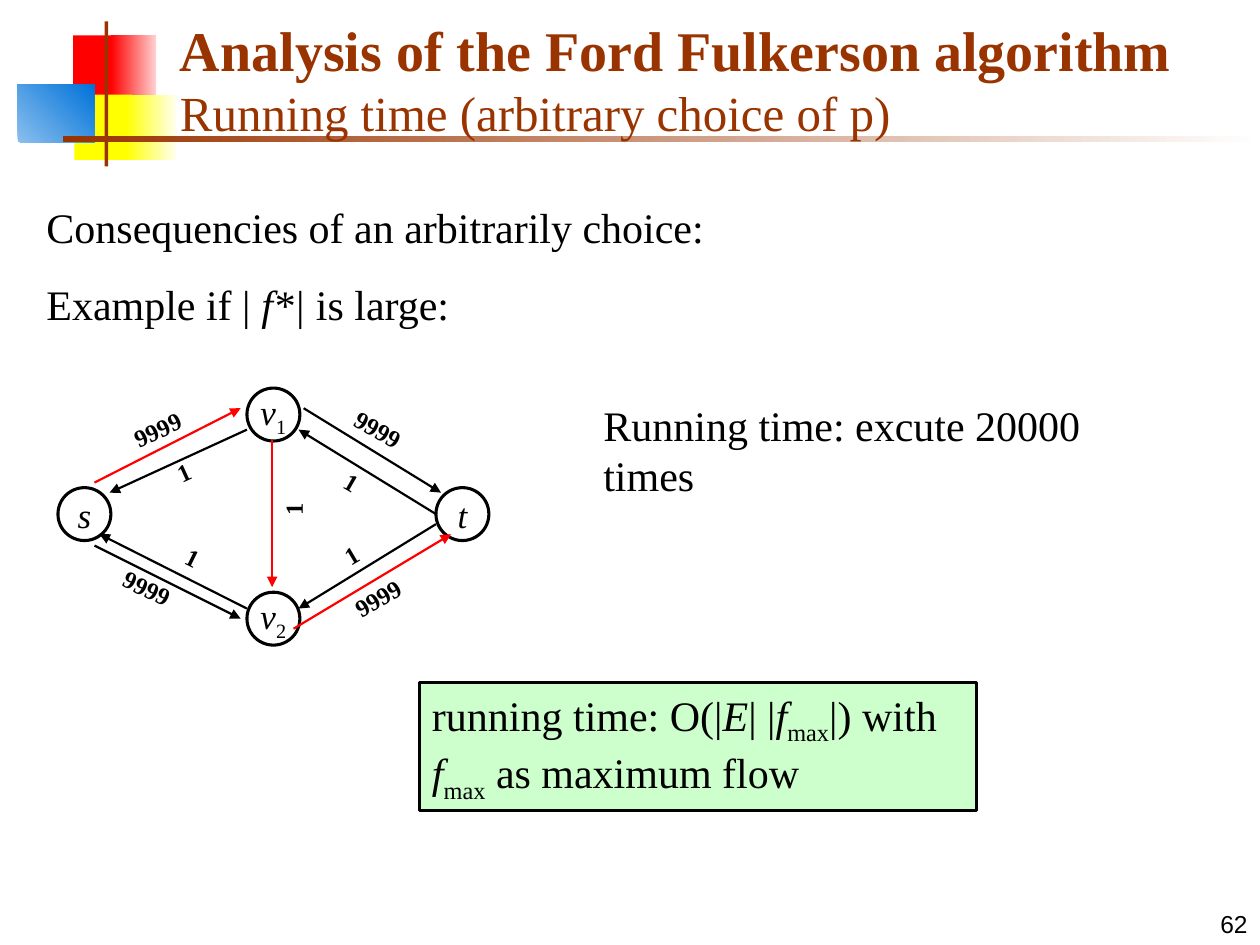
from dataclasses import dataclass

from lxml import etree
from pptx import Presentation
from pptx.dml.color import RGBColor
from pptx.enum.shapes import MSO_CONNECTOR, MSO_SHAPE
from pptx.enum.text import MSO_ANCHOR, MSO_AUTO_SIZE, PP_ALIGN
from pptx.oxml.ns import qn
from pptx.util import Inches, Pt

RECTANGLE = MSO_SHAPE.RECTANGLE
OVAL = MSO_SHAPE.OVAL
STRAIGHT = MSO_CONNECTOR.STRAIGHT
TOP, MIDDLE, BOTTOM = MSO_ANCHOR.TOP, MSO_ANCHOR.MIDDLE, MSO_ANCHOR.BOTTOM
LEFT, CENTER, RIGHT = PP_ALIGN.LEFT, PP_ALIGN.CENTER, PP_ALIGN.RIGHT
GROW = MSO_AUTO_SIZE.SHAPE_TO_FIT_TEXT


@dataclass(frozen=True)
class Theme:
    serif: str = "Times New Roman"
    sans: str = "Arial"
    black: str = "000000"
    white: str = "FFFFFF"
    brown: str = "993300"
    red: str = "FF0000"
    pink: str = "FFD1D1"
    yellow: str = "FFFF00"
    cream: str = "FFFFF0"
    light_blue: str = "8BBFEE"
    blue: str = "0073D9"
    green: str = "CCFFCC"
    title: int = 32
    subtitle: int = 28
    body: int = 24
    node: int = 20
    label: int = 14
    paragraph_gap: int = 15
    outline: float = 1.75
    edge: float = 1.25


class SlideBuilder:
    def __init__(self, slide, theme):
        self.slide = slide
        self.theme = theme

    def style_run(self, run, size, color=None, bold=False, mark="", font=None):
        run.font.name = font or self.theme.serif
        run.font.size = Pt(size)
        run.font.bold = bold
        run.font.italic = mark == "italic"
        run.font.color.rgb = RGBColor.from_string(color or self.theme.black)
        if mark == "sub":
            run._r.get_or_add_rPr().set("baseline", "-25000")

    def fill_text(self, frame, paragraphs, size, align=LEFT, anchor=TOP, **style):
        frame.vertical_anchor = anchor
        for index, parts in enumerate(paragraphs):
            paragraph = frame.add_paragraph() if index else frame.paragraphs[0]
            paragraph.alignment = align
            if index:
                paragraph.space_before = Pt(self.theme.paragraph_gap)
            for text, mark in parts:
                run = paragraph.add_run()
                run.text = text
                self.style_run(run, size, mark=mark, **style)

    def shape(self, kind, box, fill, outlined=False):
        shape = self.slide.shapes.add_shape(kind, *map(Inches, box))
        shape.shadow.inherit = False
        shape.fill.solid()
        shape.fill.fore_color.rgb = RGBColor.from_string(fill)
        if outlined:
            shape.line.color.rgb = RGBColor.from_string(self.theme.black)
            shape.line.width = Pt(self.theme.outline)
        else:
            shape.line.fill.background()
        return shape

    def gradient(self, box, start, end, angle=0):
        shape = self.shape(RECTANGLE, box, start)
        shape.fill.gradient()
        shape.fill.gradient_angle = angle
        for stop, color in zip(shape.fill.gradient_stops, (start, end)):
            stop.color.rgb = RGBColor.from_string(color)

    def text_box(self, box, rotation=0):
        text_box = self.slide.shapes.add_textbox(*map(Inches, box))
        text_box.rotation = rotation
        text_box.text_frame.word_wrap = True
        return text_box.text_frame

    def title(self, box, heading, subheading):
        frame = self.text_box(box)
        frame.vertical_anchor = BOTTOM
        paragraph = frame.paragraphs[0]
        paragraph.text = f"{heading}\v{subheading}"
        first, second = paragraph.runs
        self.style_run(first, self.theme.title, self.theme.brown, bold=True)
        self.style_run(second, self.theme.subtitle, self.theme.brown)

    def body(self, box, paragraphs):
        frame = self.text_box(box)
        frame.auto_size = GROW
        self.fill_text(frame, paragraphs, self.theme.body)

    def callout(self, box, paragraphs):
        shape = self.shape(RECTANGLE, box, self.theme.green, outlined=True)
        shape.text_frame.word_wrap = True
        shape.text_frame.auto_size = GROW
        self.fill_text(shape.text_frame, paragraphs, self.theme.body)

    def page_number(self, box, number):
        self.fill_text(self.text_box(box), [[(number, "")]], self.theme.label,
                       align=RIGHT, anchor=BOTTOM, font=self.theme.sans)

    def node(self, left, top, letter, subscript=""):
        shape = self.shape(OVAL, (left, top, 0.42, 0.42), self.theme.white, outlined=True)
        shape.text_frame.word_wrap = False
        parts = [(letter, "italic")]
        if subscript:
            parts.append((subscript, "sub"))
        self.fill_text(shape.text_frame, [parts], self.theme.node, align=CENTER, anchor=MIDDLE)

    def edge(self, start, end, color):
        points = map(Inches, (*start, *end))
        connector = self.slide.shapes.add_connector(STRAIGHT, *points)
        connector.line.color.rgb = RGBColor.from_string(color)
        connector.line.width = Pt(self.theme.edge)
        properties = connector._element.spPr
        etree.SubElement(properties.find(qn("a:ln")), qn("a:tailEnd"), type="triangle")
        etree.SubElement(properties, qn("a:effectLst"))

    def capacity(self, text, left, top, rotation, width=1, height=0.34):
        frame = self.text_box((left, top, width, height), rotation)
        self.fill_text(frame, [[(text, "")]], self.theme.label, align=CENTER, bold=True)


def draw_ornament(builder):
    theme = builder.theme
    builder.shape(RECTANGLE, (0.58, 0.28, 0.35, 0.52), theme.red)
    builder.gradient((0.88, 0.28, 0.36, 0.52), theme.red, theme.pink)
    builder.shape(RECTANGLE, (0.59, 0.75, 0.46, 0.52), theme.yellow)
    builder.gradient((1, 0.75, 0.4, 0.52), theme.yellow, theme.cream)
    builder.gradient((0.14, 0.67, 0.61, 0.46), theme.light_blue, theme.blue, angle=45)
    builder.shape(RECTANGLE, (0.83, 0.17, 0.03, 1.15), theme.brown)
    builder.gradient((0.5, 1.08, 9.5, 0.05), theme.brown, theme.white)


def draw_flow_network(builder):
    nodes = [(3.46, 3.87, "t"), (1.96, 4.7, "v", "2"), (1.96, 3.08, "v", "1"), (0.46, 3.87, "s")]
    for node in nodes:
        builder.node(*node)

    black, red = builder.theme.black, builder.theme.red
    edges = [
        ((2.41, 3.24), (3.5, 3.91), black),
        ((0.75, 4.33), (1.91, 4.91), black),
        ((0.75, 3.83), (1.91, 3.24), red),
        ((2.33, 4.99), (3.58, 4.24), red),
        ((2.16, 3.49), (2.16, 4.66), red),
        ((3.46, 4.16), (2.37, 4.83), black),
        ((1.96, 3.41), (0.87, 3.91), black),
        ((1.96, 4.83), (0.79, 4.24), black),
        ((3.46, 4.08), (2.37, 3.41), black),
    ]
    for edge in edges:
        builder.edge(*edge)

    capacities = [
        ("9999", 0.75, 3.24, 335.4), ("1", 0.96, 3.58, 335.4),
        ("9999", 2.5, 3.24, 29.9), ("1", 2.29, 3.66, 29.9),
        ("9999", 0.59, 4.48, 26.2, 1, 0.69), ("1", 1.03, 4.26, 26.2),
        ("9999", 2.5, 4.58, 329.5), ("1", 2.29, 4.24, 329.5),
        ("1", 2.12, 3.87, 270, 0.42),
    ]
    for capacity in capacities:
        builder.capacity(*capacity)


def main():
    presentation = Presentation()
    presentation.slide_width = Inches(10)
    presentation.slide_height = Inches(7.5)
    slide = presentation.slides.add_slide(presentation.slide_layouts[6])
    builder = SlideBuilder(slide, Theme())

    draw_ornament(builder)
    builder.page_number((7.92, 7, 2.08, 0.5), "62")
    draw_flow_network(builder)
    builder.title((1.33, 0.25, 8.52, 0.92), "Analysis of the Ford Fulkerson algorithm",
                  "Running time (arbitrary choice of p)")
    builder.body((0.27, 1.55, 5.59, 1.11), [
        [("Consequencies of an arbitrarily choice:", "")],
        [("Example if | ", ""), ("f*|", "italic"), (" is large:", "")],
    ])
    maximum_flow = [("f", "italic"), ("max", "sub")]
    builder.callout((3.33, 5.42, 4.42, 1.01), [[
        ("running time: O(|", ""), ("E", "italic"), ("| |", ""), *maximum_flow,
        ("|) with ", ""), *maximum_flow, (" as maximum flow", ""),
    ]])
    builder.body((4.69, 3.12, 4.61, 0.9), [[("Running time: excute 20000 times", "")]])
    presentation.save("out.pptx")


if __name__ == "__main__":
    main()
